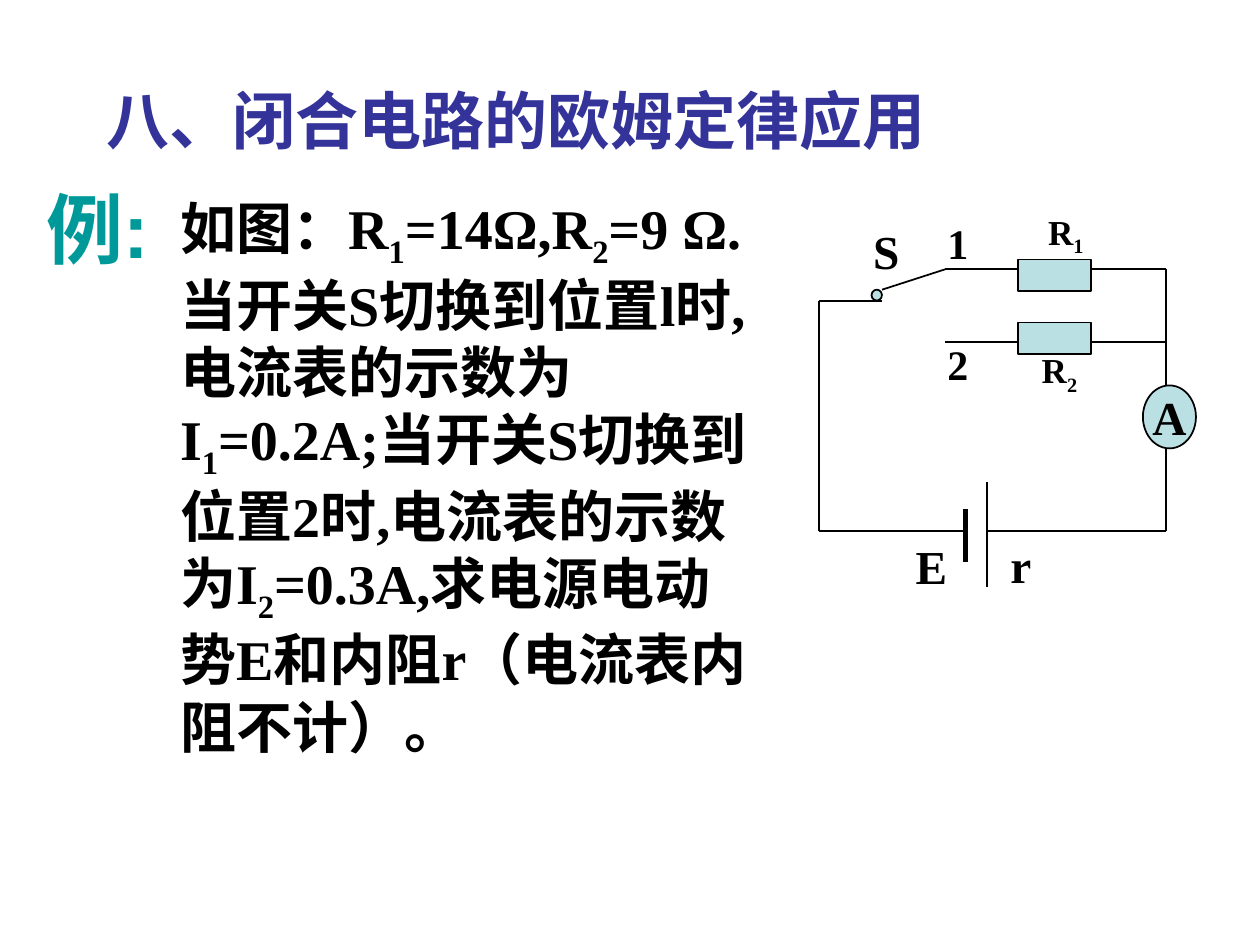
from dataclasses import dataclass

from lxml.etree import SubElement
from pptx import Presentation
from pptx.dml.color import RGBColor
from pptx.enum.shapes import MSO_CONNECTOR, MSO_SHAPE
from pptx.enum.text import MSO_ANCHOR, MSO_AUTO_SIZE, PP_ALIGN
from pptx.oxml.ns import qn
from pptx.util import Cm, Pt


@dataclass(frozen=True)
class Theme:
    title_color: RGBColor = RGBColor(0x33, 0x33, 0x99)
    example_color: RGBColor = RGBColor(0x00, 0x99, 0x99)
    ink: RGBColor = RGBColor(0x00, 0x00, 0x00)
    component: RGBColor = RGBColor(0xBB, 0xE0, 0xE3)
    heading_font: str = "Arial"
    text_font: str = "Times New Roman"
    example_size: int = 44
    title_size: int = 36
    problem_size: int = 32
    symbol_size: int = 27
    position_size: int = 24
    resistor_size: int = 20
    wire_width: int = 1
    plate_width: int = 3


THEME = Theme()
SUBSCRIPT_MARK = "|"


@dataclass(frozen=True)
class Box:
    left: float
    top: float
    width: float
    height: float

    def inner(self, left, top, width, height):
        return Box(self.left + left, self.top + top, width, height)

    def lengths(self):
        return Cm(self.left), Cm(self.top), Cm(self.width), Cm(self.height)


def write(shape, text, size, color=THEME.ink, font=THEME.text_font,
          align=PP_ALIGN.LEFT, anchor=MSO_ANCHOR.TOP, wrap=True):
    frame = shape.text_frame
    frame.auto_size = MSO_AUTO_SIZE.NONE
    frame.word_wrap = wrap
    frame.vertical_anchor = anchor
    paragraph = frame.paragraphs[0]
    paragraph.alignment = align
    for index, piece in enumerate(text.split(SUBSCRIPT_MARK)):
        if not piece:
            continue
        run = paragraph.add_run()
        run.text = piece
        run.font.name = font
        run.font.size = Pt(size)
        run.font.bold = True
        run.font.color.rgb = color
        if index % 2:
            run.font._element.set("baseline", "-25000")


def add_label(slide, box, text, size, **options):
    write(slide.shapes.add_textbox(*box.lengths()), text, size, **options)


def add_component(slide, kind, box):
    shape = slide.shapes.add_shape(kind, *box.lengths())
    shape.shadow.inherit = False
    shape.fill.solid()
    shape.fill.fore_color.rgb = THEME.component
    shape.line.color.rgb = THEME.ink
    shape.line.width = Pt(THEME.wire_width)
    return shape


def add_wire(slide, box, start, end, width=THEME.wire_width):
    wire = slide.shapes.add_connector(
        MSO_CONNECTOR.STRAIGHT,
        Cm(box.left + start[0]), Cm(box.top + start[1]),
        Cm(box.left + end[0]), Cm(box.top + end[1]))
    wire.line.color.rgb = THEME.ink
    wire.line.width = Pt(width)
    SubElement(wire._element.spPr, qn("a:effectLst"))


def add_title(slide, box):
    title = slide.shapes.title
    title.left, title.top, title.width, title.height = box.lengths()
    write(title, "八、闭合电路的欧姆定律应用", THEME.title_size,
          color=THEME.title_color, font=THEME.heading_font)


def add_problem(slide, box):
    add_label(slide, box.inner(0, 0, 3.96, 2.11), "例:", THEME.example_size,
              color=THEME.example_color, font=THEME.heading_font,
              align=PP_ALIGN.CENTER, anchor=MSO_ANCHOR.MIDDLE)
    add_label(slide, box.inner(3.38, 0.25, box.width - 3.38, box.height - 0.25),
              "如图：R|1|=14Ω,R|2|=9 Ω.当开关S切换到位置l时,电流表的示数为I|1|"
              "=0.2A;当开关S切换到位置2时,电流表的示数为I|2|"
              "=0.3A,求电源电动势E和内阻r（电流表内阻不计）。",
              THEME.problem_size)


def add_circuit(slide, box):
    right, bottom = box.width, 6.6
    switch_x, contact_x = 1.27, 2.54
    resistor_left, resistor_width, resistor_height = 4.01, 1.48, 0.64
    resistor_right = resistor_left + resistor_width
    upper, lower, switch_y = 1.32, 2.79, 1.96
    thick_plate, thin_plate = 2.95, 3.38
    meter_top, meter_height = 3.66, 1.27

    wires = [
        ((0, switch_y), (switch_x, switch_y)),
        ((0, switch_y), (0, bottom)),
        ((0, bottom), (thick_plate, bottom)),
        ((thin_plate, 5.61), (thin_plate, 7.72)),
        ((thin_plate, bottom), (right, bottom)),
        ((right, bottom), (right, meter_top + meter_height)),
        ((right, meter_top), (right, upper)),
        ((switch_x, 1.73), (contact_x, upper)),
    ]
    for level in (upper, lower):
        wires.append(((contact_x, level), (resistor_left, level)))
        wires.append(((resistor_right, level), (right, level)))
    for start, end in wires:
        add_wire(slide, box, start, end)
    add_wire(slide, box, (thick_plate, 6.15), (thick_plate, 7.21), THEME.plate_width)

    for top in (1.12, 2.39):
        add_component(slide, MSO_SHAPE.RECTANGLE, box.inner(
            resistor_left, top, resistor_width, resistor_height))
    add_component(slide, MSO_SHAPE.OVAL, box.inner(1.06, 1.73, 0.21, 0.22))
    meter = add_component(slide, MSO_SHAPE.OVAL,
                          box.inner(6.53, meter_top, 1.07, meter_height))
    write(meter, "A", THEME.symbol_size, align=PP_ALIGN.CENTER,
          anchor=MSO_ANCHOR.MIDDLE, wrap=False)

    labels = [
        ("R|1", 4.37, 0, 1.24, 1.07, THEME.resistor_size),
        ("R|2", 4.24, 2.79, 1.24, 1.07, THEME.resistor_size),
        ("S", 0.84, 0.25, 1.04, 1.4, THEME.symbol_size),
        ("1", 2.34, 0.15, 1.47, 1.24, THEME.position_size),
        ("2", 2.34, 2.59, 1.7, 1.24, THEME.position_size),
        ("E", 1.7, 6.6, 1.9, 1.4, THEME.symbol_size),
        ("r", 3.61, 6.58, 1.47, 1.4, THEME.symbol_size),
    ]
    for text, left, top, width, height, size in labels:
        add_label(slide, box.inner(left, top, width, height), text, size, wrap=False)


def main():
    presentation = Presentation()
    presentation.slide_width = Cm(25.4)
    presentation.slide_height = Cm(19.05)
    slide = presentation.slides.add_slide(presentation.slide_layouts[5])
    add_title(slide, Box(1.9, 1.52, 20.32, 1.78))
    add_problem(slide, Box(0, 3.53, 15.65, 9.98))
    add_circuit(slide, Box(16.51, 4.11, 6.99, 7.98))
    presentation.save("out.pptx")


if __name__ == "__main__":
    main()
